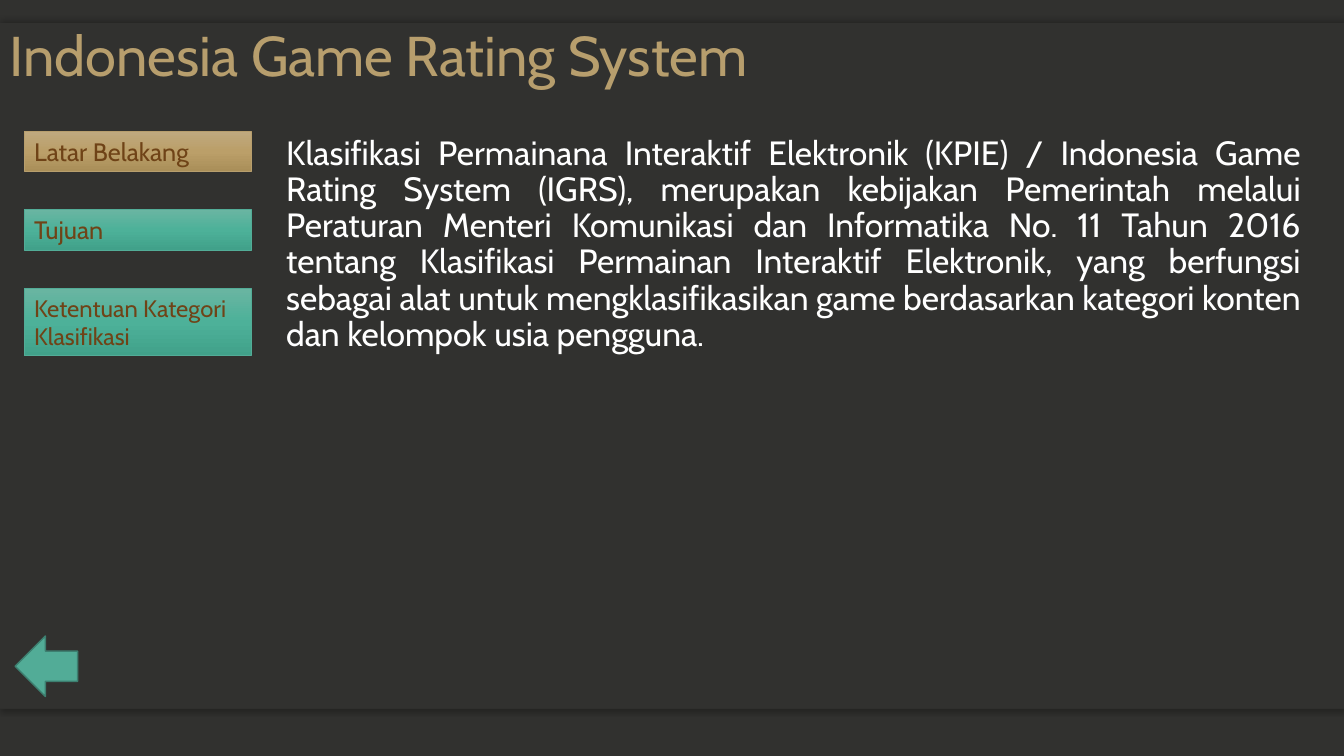
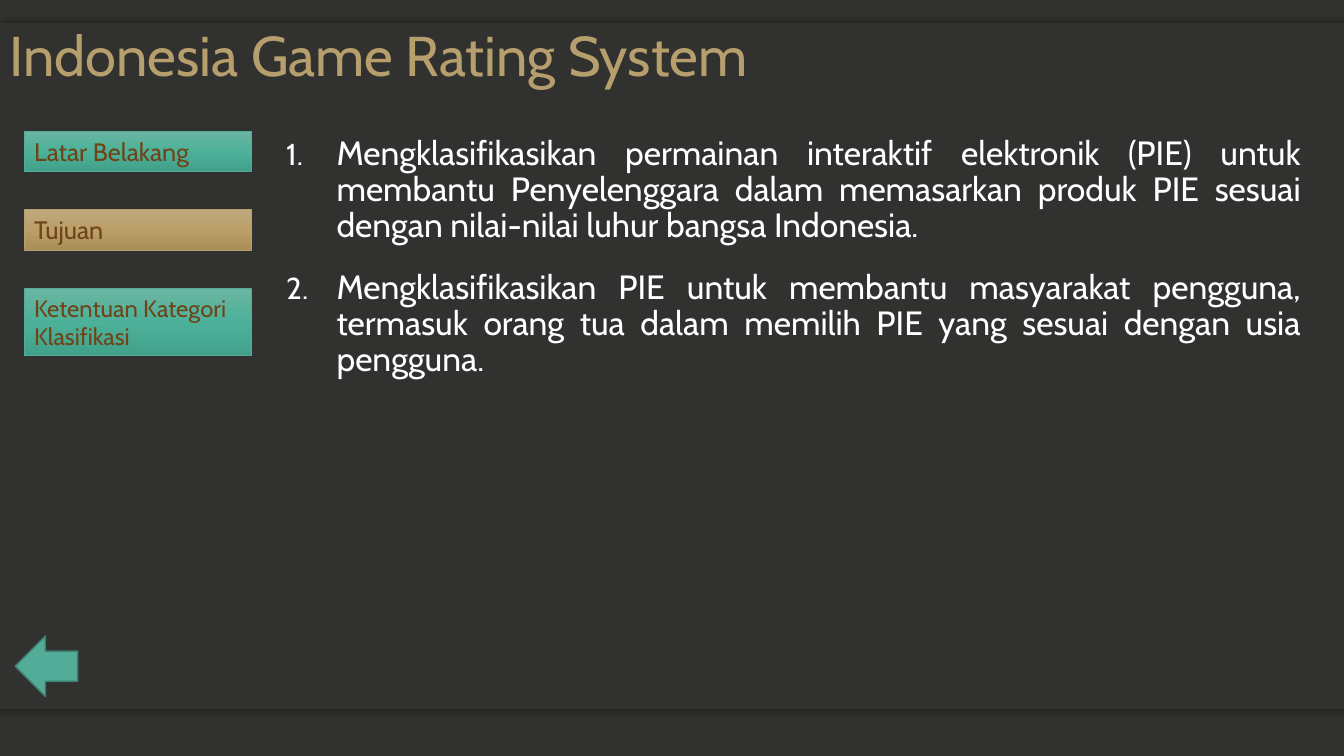
from copy import deepcopy
from dataclasses import dataclass

from lxml.etree import SubElement
from pptx import Presentation
from pptx.dml.color import RGBColor
from pptx.enum.shapes import MSO_SHAPE
from pptx.enum.text import MSO_ANCHOR, MSO_AUTO_SIZE, PP_ALIGN
from pptx.oxml.ns import qn
from pptx.presentation import Presentation as Deck
from pptx.shapes.autoshape import Shape
from pptx.slide import Slide
from pptx.text.text import TextFrame
from pptx.util import Emu, Pt

EMU_PER_PX = 9144
SLIDE_WIDTH, SLIDE_HEIGHT = 1333, 750
FONT = "Cabin"
DARK, GOLD, TEAL, TEAL_EDGE = "31312F", "B79E6D", "52AC97", "3D7F70"
BROWN, WHITE, BLACK = "6F4317", "FFFFFF", "000000"
TITLE = "Indonesia Game Rating System"
BUTTON_LEFT, BUTTON_TOP, BUTTON_WIDTH, BUTTON_GAP = 24, 130, 225, 38
NUMBER_INDENT = 50


@dataclass(frozen=True)
class Box:
    left: int
    top: int
    width: int
    height: int


@dataclass(frozen=True)
class ButtonStyle:
    stops: tuple[str, str, str]
    line: str


@dataclass(frozen=True)
class Button:
    label: str
    height: int
    size: int


@dataclass(frozen=True)
class Topic:
    active: str
    paragraphs: tuple[str, ...]
    numbered: bool


ACTIVE = ButtonStyle(("BFA97F", "BB9F69", "AA8F59"), GOLD)
INACTIVE = ButtonStyle(("6AB5A2", "4DB199", "41A18A"), TEAL)

BUTTONS = (
    Button("Latar Belakang", 40, 18),
    Button("Tujuan", 40, 18),
    Button("Ketentuan Kategori Klasifikasi", 67, 17),
)

TOPICS = (
    Topic(
        "Latar Belakang",
        (
            "Klasifikasi Permainana Interaktif Elektronik (KPIE) / Indonesia Game "
            "Rating System (IGRS), merupakan kebijakan Pemerintah melalui Peraturan "
            "Menteri Komunikasi dan Informatika No. 11 Tahun 2016 tentang Klasifikasi "
            "Permainan Interaktif Elektronik, yang berfungsi sebagai alat untuk "
            "mengklasifikasikan game berdasarkan kategori konten dan kelompok usia "
            "pengguna.",
        ),
        False,
    ),
    Topic(
        "Tujuan",
        (
            "Mengklasifikasikan permainan interaktif elektronik (PIE) untuk membantu "
            "Penyelenggara dalam memasarkan produk PIE sesuai dengan nilai-nilai luhur "
            "bangsa Indonesia.",
            "Mengklasifikasikan PIE untuk membantu masyarakat pengguna, termasuk orang "
            "tua dalam memilih PIE yang sesuai dengan usia pengguna.",
        ),
        True,
    ),
)


def px(length: int) -> Emu:
    return Emu(length * EMU_PER_PX)


def color(value: str) -> RGBColor:
    return RGBColor.from_string(value)


def place(box: Box) -> tuple[Emu, Emu, Emu, Emu]:
    return px(box.left), px(box.top), px(box.width), px(box.height)


def add_shape(slide: Slide, kind: MSO_SHAPE, box: Box, fill: str) -> Shape:
    shape = slide.shapes.add_shape(kind, *place(box))
    shape.shadow.inherit = False
    shape.fill.solid()
    shape.fill.fore_color.rgb = color(fill)
    shape.line.fill.background()
    return shape


def set_line(shape: Shape, line: str, width: float) -> None:
    shape.line.color.rgb = color(line)
    shape.line.width = Pt(width)


def add_shadow(shape: Shape, angle: int) -> None:
    effects = shape.element.spPr.find(qn("a:effectLst"))
    shadow = SubElement(
        effects,
        qn("a:outerShdw"),
        blurRad=str(Pt(4)),
        dist=str(Pt(2)),
        dir=str(angle * 60000),
        rotWithShape="0",
    )
    shade = SubElement(shadow, qn("a:srgbClr"), val=BLACK)
    SubElement(shade, qn("a:alpha"), val="25000")


def set_gradient(shape: Shape, colors: tuple[str, ...]) -> None:
    shape.fill.gradient()
    shape.fill.gradient_angle = 270
    stop_list = shape.element.spPr.find(qn("a:gradFill")).find(qn("a:gsLst"))
    while len(stop_list) < len(colors):
        stop_list.append(deepcopy(stop_list[0]))
    for index, (stop, value) in enumerate(zip(shape.fill.gradient_stops, colors)):
        stop.position = index / (len(colors) - 1)
        stop.color.rgb = color(value)


def write(
    frame: TextFrame,
    texts: tuple[str, ...],
    size: int,
    text_color: str,
    alignment: PP_ALIGN = PP_ALIGN.LEFT,
    spacing: float = 1.0,
    numbered: bool = False,
) -> None:
    frame.word_wrap = True
    for index, text in enumerate(texts):
        paragraph = frame.add_paragraph() if index else frame.paragraphs[0]
        paragraph.text = text
        if numbered:
            properties = paragraph._p.get_or_add_pPr()
            properties.set("marL", str(px(NUMBER_INDENT)))
            properties.set("indent", str(px(-NUMBER_INDENT)))
            SubElement(properties, qn("a:buSzPct"), val="90000")
            SubElement(properties, qn("a:buAutoNum"), type="arabicPeriod")
        paragraph.alignment = alignment
        paragraph.line_spacing = spacing
        if index:
            paragraph.space_before = Pt(18)
        paragraph.font.name = FONT
        paragraph.font.size = Pt(size)
        paragraph.font.color.rgb = color(text_color)


def add_frame(slide: Slide) -> None:
    for top, angle in ((654, 90), (23, 270)):
        band = add_shape(slide, MSO_SHAPE.RECTANGLE, Box(0, top, SLIDE_WIDTH, 49), DARK)
        add_shadow(band, angle)
    add_shape(slide, MSO_SHAPE.RECTANGLE, Box(0, 23, SLIDE_WIDTH, 680), DARK)


def add_title(slide: Slide) -> None:
    frame = slide.shapes.add_textbox(*place(Box(0, 24, 1050, 69))).text_frame
    frame.vertical_anchor = MSO_ANCHOR.BOTTOM
    write(frame, (TITLE,), 40, GOLD, spacing=0.9)


def add_body(slide: Slide, topic: Topic) -> None:
    frame = slide.shapes.add_textbox(*place(Box(274, 130, 1026, 545))).text_frame
    write(frame, topic.paragraphs, 24, WHITE, PP_ALIGN.JUSTIFY, 0.9, topic.numbered)


def add_menu(slide: Slide, active: str) -> None:
    top = BUTTON_TOP
    for button in BUTTONS:
        style = ACTIVE if button.label == active else INACTIVE
        box = Box(BUTTON_LEFT, top, BUTTON_WIDTH, button.height)
        shape = add_shape(slide, MSO_SHAPE.RECTANGLE, box, style.line)
        set_gradient(shape, style.stops)
        set_line(shape, style.line, 0.5)
        shape.text_frame.vertical_anchor = MSO_ANCHOR.TOP
        shape.text_frame.auto_size = MSO_AUTO_SIZE.SHAPE_TO_FIT_TEXT
        write(shape.text_frame, (button.label,), button.size, BROWN)
        top += button.height + BUTTON_GAP


def add_back_arrow(slide: Slide) -> None:
    arrow = add_shape(slide, MSO_SHAPE.LEFT_ARROW, Box(15, 631, 62, 60), TEAL)
    set_line(arrow, TEAL_EDGE, 1)


def add_topic_slide(presentation: Deck, topic: Topic) -> None:
    slide = presentation.slides.add_slide(presentation.slide_layouts[6])
    add_frame(slide)
    add_title(slide)
    add_body(slide, topic)
    add_menu(slide, topic.active)
    add_back_arrow(slide)


def main() -> None:
    presentation = Presentation()
    presentation.slide_width = px(SLIDE_WIDTH)
    presentation.slide_height = px(SLIDE_HEIGHT)
    background = presentation.slide_master.background.fill
    background.solid()
    background.fore_color.rgb = color(DARK)
    for topic in TOPICS:
        add_topic_slide(presentation, topic)
    presentation.save("out.pptx")


if __name__ == "__main__":
    main()
